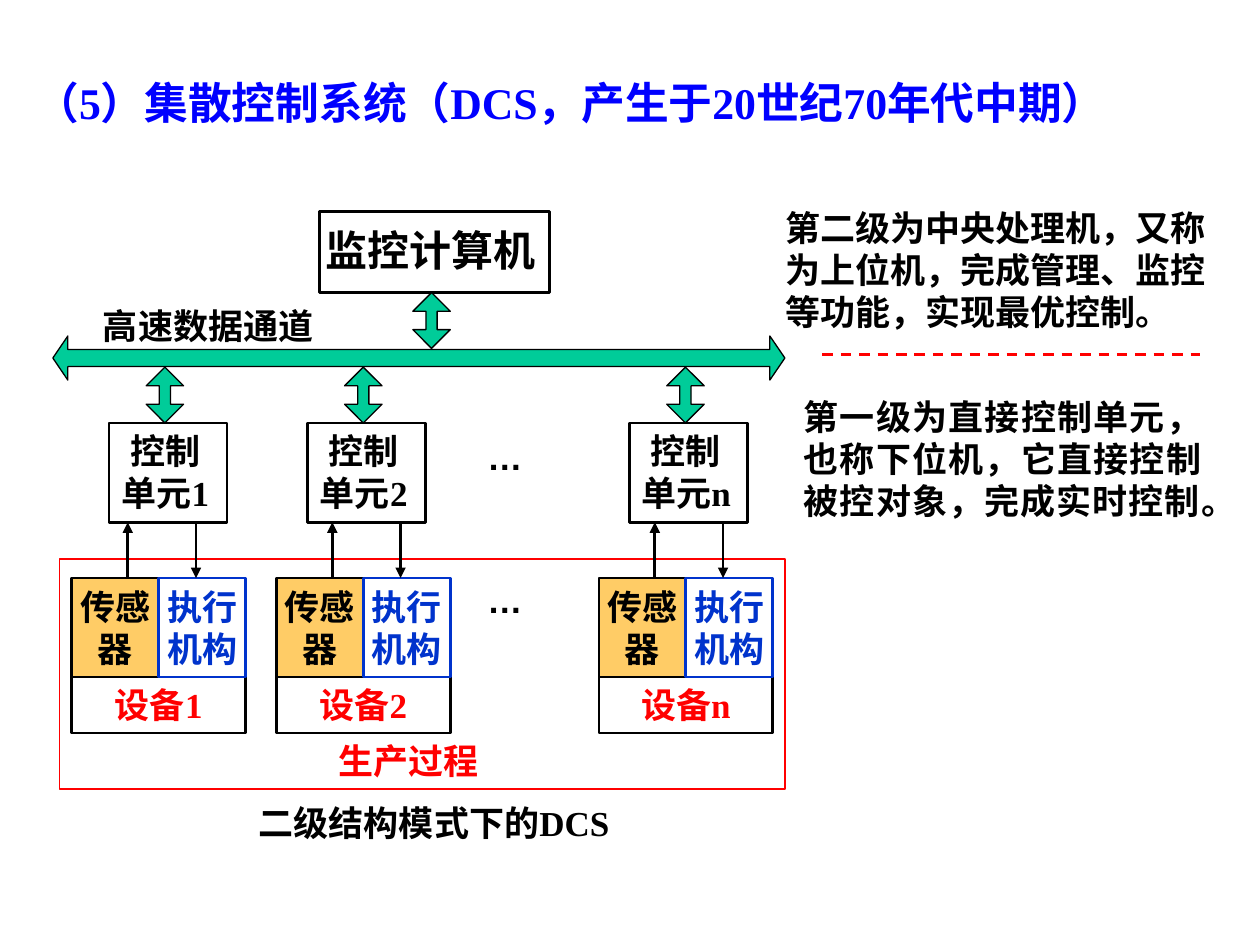
from lxml import etree
from pptx import Presentation
from pptx.dml.color import RGBColor
from pptx.enum.dml import MSO_LINE
from pptx.enum.shapes import MSO_CONNECTOR, MSO_SHAPE
from pptx.enum.text import MSO_ANCHOR, MSO_AUTO_SIZE, PP_ALIGN
from pptx.oxml.ns import qn
from pptx.util import Pt

LEFT, CENTER, JUSTIFY = PP_ALIGN.LEFT, PP_ALIGN.CENTER, PP_ALIGN.JUSTIFY
TOP, MIDDLE = MSO_ANCHOR.TOP, MSO_ANCHOR.MIDDLE
NO_AUTOFIT = MSO_AUTO_SIZE.NONE
RECTANGLE = MSO_SHAPE.RECTANGLE
VERTICAL_ARROW = MSO_SHAPE.UP_DOWN_ARROW
HORIZONTAL_ARROW = MSO_SHAPE.LEFT_RIGHT_ARROW
STRAIGHT, DASH = MSO_CONNECTOR.STRAIGHT, MSO_LINE.DASH
TITLE_ONLY = 5

COLORS = {
    "black": "000000",
    "red": "FF0000",
    "title": "0000FF",
    "actuator": "0033CC",
    "sensor": "FFCC66",
    "bus": "00CC99",
}
MARGINS = (7.2, 3.6, 7.2, 3.6)


def rgb(name):
    return RGBColor.from_string(COLORS[name])


class SlideBuilder:
    font = "Times New Roman"
    size = 20

    def __init__(self, slide):
        self.slide = slide

    def set_text(self, shape, text, color="black", size=size, font=font,
                 align=LEFT, anchor=TOP, wrap=True, margins=MARGINS):
        frame = shape.text_frame
        frame.text = text
        frame.word_wrap = wrap
        frame.auto_size = NO_AUTOFIT
        frame.vertical_anchor = anchor
        (frame.margin_left, frame.margin_top,
         frame.margin_right, frame.margin_bottom) = map(Pt, margins)
        for para in frame.paragraphs:
            para.alignment = align
            para.font.name = font
            para.font.size = Pt(size)
            para.font.bold = True
            para.font.color.rgb = rgb(color)

    def title(self, text, left, top, width, height):
        title = self.slide.shapes.title
        title.left, title.top = Pt(left), Pt(top)
        title.width, title.height = Pt(width), Pt(height)
        self.set_text(title, text, "title", 25, anchor=MIDDLE)

    def label(self, text, left, top, width, height, **style):
        box = self.slide.shapes.add_textbox(*map(Pt, (left, top, width, height)))
        self.set_text(box, text, **style)

    def shape(self, kind, left, top, width, height, fill=None,
              line="black", weight=1.5):
        shape = self.slide.shapes.add_shape(
            kind, *map(Pt, (left, top, width, height)))
        shape.shadow.inherit = False
        if fill:
            shape.fill.solid()
            shape.fill.fore_color.rgb = rgb(fill)
        else:
            shape.fill.background()
        shape.line.color.rgb = rgb(line)
        shape.line.width = Pt(weight)
        return shape

    def block_arrow(self, kind, left, top, width, height, shaft, head):
        arrow = self.shape(kind, left, top, width, height, "bus", weight=0.75)
        arrow.adjustments[0] = shaft
        arrow.adjustments[1] = head

    def line(self, x1, y1, x2, y2, color="black", dash=None, arrow=False):
        line = self.slide.shapes.add_connector(
            STRAIGHT, *map(Pt, (x1, y1, x2, y2)))
        line.line.color.rgb = rgb(color)
        line.line.width = Pt(1.5)
        if dash:
            line.line.dash_style = dash
        properties = line._element.spPr
        if arrow:
            etree.SubElement(properties.find(qn("a:ln")), qn("a:tailEnd"),
                             type="triangle")
        etree.SubElement(properties, qn("a:effectLst"))

    def vertical_arrow(self, left, top):
        self.block_arrow(VERTICAL_ARROW, left, top, 21.4, 31.9, 0.5, 0.3)

    def control_unit(self, name, left):
        self.vertical_arrow(left + 21.3, 209.8)
        unit = self.shape(RECTANGLE, left, 241.7, 67.6, 56.8)
        self.set_text(unit, f"控制单元{name}", align=CENTER,
                      margins=(4, 3.6, 7.2, 3.6))

    def device(self, name, left):
        top, half, height = 330.3, 49.7, 56.6
        base = self.shape(RECTANGLE, left, top + height, 2 * half, 31.9)
        sensor = self.shape(RECTANGLE, left, top, half, height, "sensor")
        actuator = self.shape(RECTANGLE, left + half, top, half, height,
                              line="actuator")
        for box, text, color in ((base, f"设备{name}", "red"),
                                 (sensor, "传感\n器", "black"),
                                 (actuator, "执行\n机构", "actuator")):
            self.set_text(box, text, color, align=CENTER, anchor=MIDDLE,
                          wrap=False)
        unit_bottom = 298.5
        self.line(left + 32, top, left + 32, unit_bottom, arrow=True)
        self.line(left + 71, unit_bottom, left + 71, top, arrow=True)


def main():
    deck = Presentation()
    deck.slide_width, deck.slide_height = Pt(720), Pt(540)
    page = SlideBuilder(deck.slides.add_slide(deck.slide_layouts[TITLE_ONLY]))

    page.title("（5）集散控制系统（DCS，产生于20世纪70年代中期）",
               13, 24.5, 658, 67.7)
    page.label("第一级为直接控制单元，也称下位机，它直接控制被控对象，完成实时控制。",
               452.2, 222.5, 241.2, 79.2, align=JUSTIFY)
    page.label("第二级为中央处理机，又称为上位机，完成管理、监控等功能，实现最优控制。",
               441.6, 114.3, 265.7, 79.2)
    page.line(470, 202.5, 686, 202.5, "red", dash=DASH)

    computer = page.shape(RECTANGLE, 182.6, 121, 131.3, 46.1)
    page.set_text(computer, "监控计算机", size=24, margins=(3.6, 7.2, 0, 0))
    page.vertical_arrow(235.9, 167.2)
    page.block_arrow(HORIZONTAL_ARROW, 30.2, 192, 418.3, 25.2, 0.39, 0.34)
    page.label("高速数据通道", 51.8, 170.6, 156.2, 31.7)

    page.shape(RECTANGLE, 34, 319.5, 414.7, 131.3, line="red", weight=1)
    for name, unit_left, device_left in (("1", 62.2, 41), ("2", 175.6, 157.9),
                                         ("n", 359.7, 342.2)):
        page.control_unit(name, unit_left)
        page.device(name, device_left)
    for top in (245.5, 326.9):
        page.label("…", 271.4, top, 74.2, 31.7, font="Arial")

    page.label("生产过程", 186.5, 419, 131, 31.7, color="red")
    page.label("二级结构模式下的DCS", 111.6, 454.3, 272.9, 31.7, align=CENTER)
    deck.save("out.pptx")


if __name__ == "__main__":
    main()
